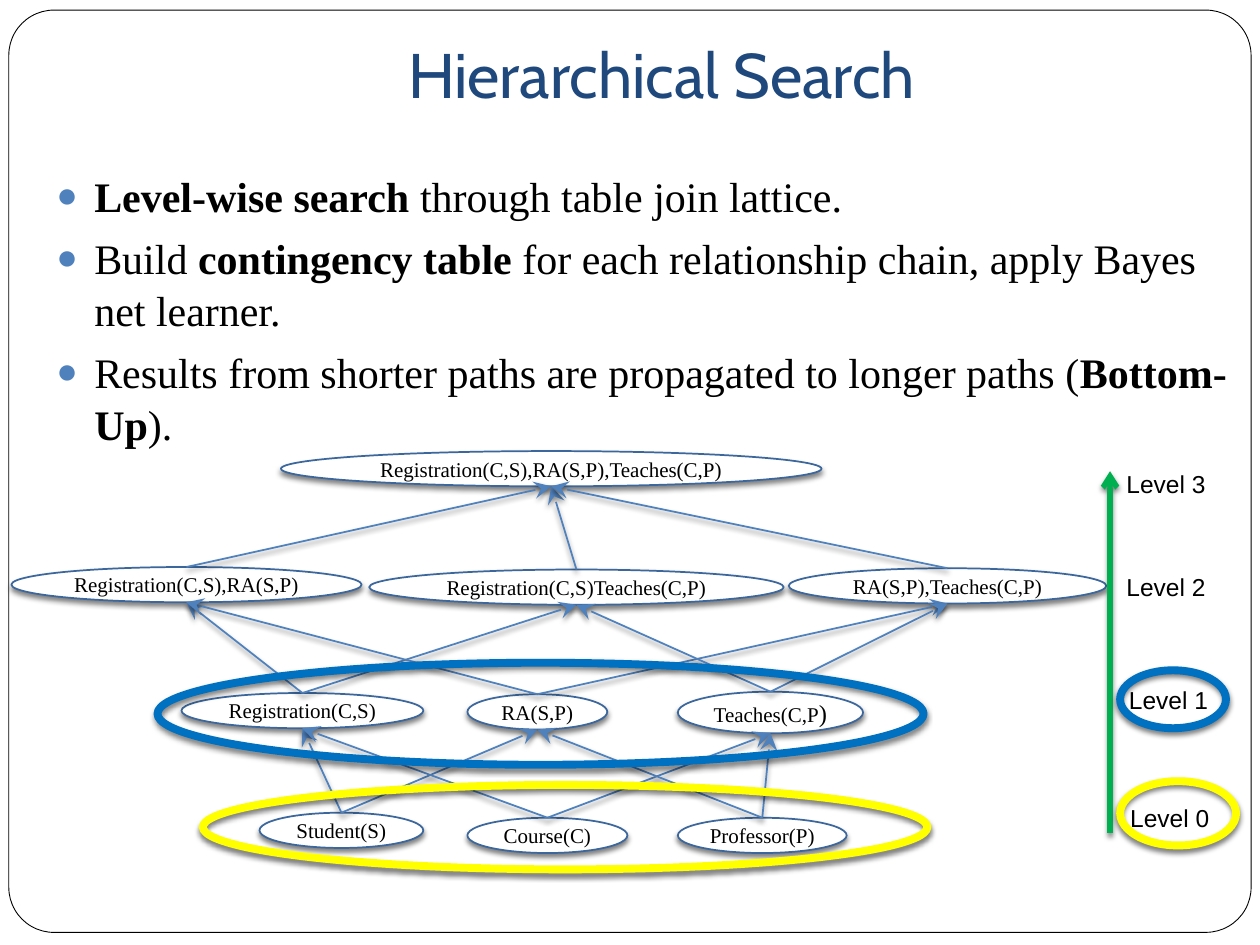
from lxml.etree import SubElement
from pptx import Presentation
from pptx.dml.color import RGBColor
from pptx.enum.shapes import MSO_CONNECTOR, MSO_SHAPE
from pptx.enum.text import MSO_ANCHOR, PP_ALIGN
from pptx.oxml.ns import qn
from pptx.util import Inches, Pt

COLORS = {
    "paper": "FFFFFF", "ink": "000000", "title": "1F497D", "accent": "4F81BD",
    "node": "3B679C", "base": "FFFF00", "first": "0070C0", "upward": "00B050",
}
SERIF, SANS, HEADING = "Times New Roman", "Arial", "Cabin"
TOP_SITE, BOTTOM_SITE = 0, 4

BULLETS = [
    [("Level-wise search ", True), ("through table join lattice.", False)],
    [("Build ", False), ("contingency table ", True),
     ("for each relationship chain, apply Bayes net learner.", False)],
    [("Results from shorter paths are propagated to longer paths (", False),
     ("Bottom-Up", True), (").", False)],
]
NODES = {
    "student": ((2.06, 6.45, 1.3, 0.28), [("Student(S)", 12)]),
    "course": ((3.71, 6.49, 1.27, 0.28), [("Course(C)", 12)]),
    "professor": ((5.38, 6.49, 1.34, 0.28), [("Professor(P)", 12)]),
    "reg": ((1.44, 5.5, 1.92, 0.28), [("Registration(C,S)", 12)]),
    "teaches": ((5.38, 5.49, 1.47, 0.33), [("Teaches(C,P", 12), (")", 14)]),
    "ra": ((3.71, 5.51, 1.11, 0.28), [("RA(S,P)", 12)]),
    "reg_ra": ((0.09, 4.5, 2.78, 0.28), [("Registration(C,S),RA(S,P)", 12)]),
    "reg_teaches": ((2.93, 4.52, 3.29, 0.28), [("Registration(C,S)Teaches(C,P)", 12)]),
    "ra_teaches": ((6.26, 4.51, 2.52, 0.28), [("RA(S,P),Teaches(C,P)", 12)]),
    "all": ((2.23, 3.58, 4.29, 0.28), [("Registration(C,S),RA(S,P),Teaches(C,P)", 12)]),
}
PARENTS = {
    "student": ["reg", "ra"],
    "course": ["reg", "teaches"],
    "professor": ["teaches", "ra"],
    "reg": ["reg_ra", "reg_teaches"],
    "ra": ["reg_ra", "ra_teaches"],
    "teaches": ["reg_teaches", "ra_teaches"],
    "reg_ra": ["all"],
    "reg_teaches": ["all"],
    "ra_teaches": ["all"],
}
LEVELS = [(8.97, 6.37), (8.96, 5.44), (8.94, 4.54), (8.94, 3.72)]
HIGHLIGHTS = [
    ((1.61, 6.23, 5.75, 0.67), "base"),
    ((1.25, 5.26, 6.08, 0.81), "first"),
    ((8.89, 6.2, 0.92, 0.51), "base"),
    ((8.89, 5.32, 0.84, 0.46), "first"),
]


class LatticeSlide:
    """Draws the elements of a lattice slide in one shared style."""

    def __init__(self, slide):
        self.slide = slide

    def color(self, name):
        return RGBColor.from_string(COLORS[name])

    def outline(self, item, color, width):
        item.line.color.rgb = self.color(color)
        item.line.width = Pt(width)

    def shadow(self, effects):
        outer = SubElement(effects, qn("a:outerShdw"), blurRad=str(Pt(3)),
                           dist=str(Pt(2)), dir="5400000", rotWithShape="0")
        tint = SubElement(outer, qn("a:srgbClr"), val=COLORS["ink"])
        SubElement(tint, qn("a:alpha"), val="50000")

    def run(self, paragraph, text, size, font, color="ink", bold=False):
        run = paragraph.add_run()
        run.text = text
        run.font.size = Pt(size)
        run.font.name = font
        run.font.bold = bold
        run.font.color.rgb = self.color(color)

    def margins(self, frame, left=0, top=0, right=0, bottom=0):
        frame.margin_left, frame.margin_top = Inches(left), Inches(top)
        frame.margin_right, frame.margin_bottom = Inches(right), Inches(bottom)

    def shape(self, kind, box, line, width, fill=None, shadow=True):
        shape = self.slide.shapes.add_shape(kind, *map(Inches, box))
        shape.shadow.inherit = False
        if fill:
            shape.fill.solid()
            shape.fill.fore_color.rgb = self.color(fill)
        else:
            shape.fill.background()
        self.outline(shape, line, width)
        if shadow:
            self.shadow(shape._element.spPr.find(qn("a:effectLst")))
        return shape

    def frame(self):
        border = self.shape(MSO_SHAPE.ROUNDED_RECTANGLE, (0.07, 0.08, 9.86, 7.32),
                            "ink", 0.5, "paper", shadow=False)
        border.adjustments[0] = 0.049

    def textbox(self, box, wrap=True):
        frame = self.slide.shapes.add_textbox(*map(Inches, box)).text_frame
        frame.word_wrap = wrap
        return frame

    def title(self, text):
        frame = self.textbox((1, 0.26, 8.5, 0.72))
        frame.vertical_anchor = MSO_ANCHOR.BOTTOM
        self.margins(frame, 0.1, 0.05, 0.1, 0.1)
        frame.paragraphs[0].alignment = PP_ALIGN.CENTER
        self.run(frame.paragraphs[0], text, 36, HEADING, "title")

    def bullets(self, items):
        frame = self.textbox((0.35, 1.29, 9.56, 1.95))
        for index, runs in enumerate(items):
            paragraph = frame.add_paragraph() if index else frame.paragraphs[0]
            paragraph.space_before = Pt(5.8)
            paragraph.line_spacing = 1.03
            props = paragraph._p.get_or_add_pPr()
            props.set("marL", str(Inches(0.3)))
            props.set("indent", str(Inches(-0.3)))
            tint = SubElement(props, qn("a:buClr"))
            SubElement(tint, qn("a:srgbClr"), val=COLORS["accent"])
            SubElement(props, qn("a:buSzPct"), val="85000")
            SubElement(props, qn("a:buFont"), typeface=SANS)
            SubElement(props, qn("a:buChar"), char="●")
            for text, bold in runs:
                self.run(paragraph, text, 24, SERIF, bold=bold)

    def node(self, box, runs):
        node = self.shape(MSO_SHAPE.OVAL, box, "node", 1, "paper")
        frame = node.text_frame
        frame.word_wrap = False
        frame.vertical_anchor = MSO_ANCHOR.MIDDLE
        self.margins(frame)
        frame.paragraphs[0].alignment = PP_ALIGN.CENTER
        for text, size in runs:
            self.run(frame.paragraphs[0], text, size, SERIF)
        return node

    def arrow(self, start, end, color, width, head, size):
        arrow = self.slide.shapes.add_connector(MSO_CONNECTOR.STRAIGHT, *start, *end)
        self.outline(arrow, color, width)
        SubElement(arrow.line._get_or_add_ln(), qn("a:tailEnd"), type=head, w=size, len=size)
        self.shadow(SubElement(arrow._element.spPr, qn("a:effectLst")))
        return arrow

    def edge(self, child, parent):
        start = (child.left + child.width // 2, child.top)
        end = (parent.left + parent.width // 2, parent.top + parent.height)
        edge = self.arrow(start, end, "accent", 1, "stealth", "lg")
        edge.begin_connect(child, TOP_SITE)
        SubElement(edge._element.nvCxnSpPr.cNvCxnSpPr, qn("a:endCxn"),
                   id=str(parent.shape_id), idx=str(BOTTOM_SITE))

    def level(self, number, left, top):
        frame = self.textbox((left, top, 0.74, 0.24), wrap=False)
        self.margins(frame)
        self.run(frame.paragraphs[0], f"Level {number}", 14, SANS)

    def highlight(self, box, color):
        self.shape(MSO_SHAPE.OVAL, box, color, 4.5)


def main():
    deck = Presentation()
    deck.slide_width, deck.slide_height = Inches(10), Inches(7.5)
    lattice = LatticeSlide(deck.slides.add_slide(deck.slide_layouts[6]))
    lattice.frame()
    lattice.title("Hierarchical Search")
    lattice.bullets(BULLETS)
    nodes = {key: lattice.node(box, runs) for key, (box, runs) in NODES.items()}
    for child, parents in PARENTS.items():
        for parent in parents:
            lattice.edge(nodes[child], nodes[parent])
    lattice.arrow((Inches(8.81), Inches(6.61)), (Inches(8.81), Inches(3.74)),
                  "upward", 3, "arrow", "med")
    for number, (left, top) in enumerate(LEVELS):
        lattice.level(number, left, top)
    for box, color in HIGHLIGHTS:
        lattice.highlight(box, color)
    deck.save("out.pptx")


if __name__ == "__main__":
    main()
